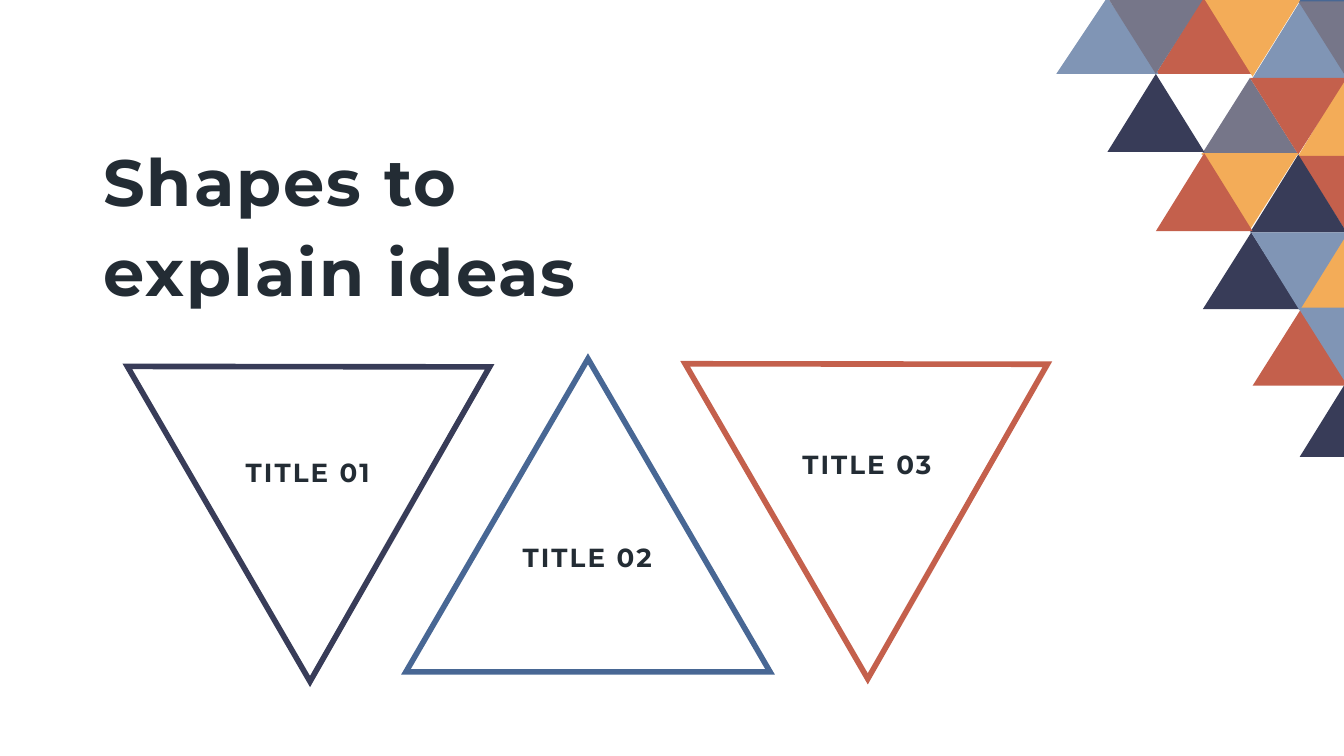
from lxml.etree import SubElement
from pptx import Presentation
from pptx.dml.color import RGBColor
from pptx.enum.shapes import MSO_SHAPE as Shape
from pptx.enum.text import MSO_AUTO_SIZE as AutoSize, PP_ALIGN as Align
from pptx.oxml.ns import qn
from pptx.util import Inches, Pt

INK, NAVY, BLUE, SKY = "232C34", "383C58", "486794", "8095B5"
GREY, RED, AMBER = "767689", "C4604C", "F3AC58"

# colour, apex x, apex y, base y, from back to front
MOSAIC = [
    (SKY, 9.68, 0, 0.58), (BLUE, 10.02, -0.55, 0.02),
    (GREY, 9.3, 0.58, 1.15), (RED, 9.68, 2.3, 2.87),
    (NAVY, 8.6, 0.55, 1.13), (AMBER, 10.02, 1.73, 2.3),
    (AMBER, 10.02, 0.56, 1.16), (RED, 8.96, -0.03, 0.55),
    (SKY, 8.24, -0.02, 0.55), (GREY, 10.02, 0.58, 0.01),
    (GREY, 8.6, 0.55, -0.02), (RED, 9.66, 1.15, 0.58),
    (AMBER, 9.32, 0.57, -0.01), (AMBER, 9.3, 1.71, 1.14),
    (RED, 10.02, 1.73, 1.16), (SKY, 10.02, 2.86, 2.29),
    (NAVY, 9.66, 1.15, 1.73), (NAVY, 10.03, 2.82, 3.4),
    (NAVY, 9.31, 1.73, 2.3), (SKY, 9.67, 2.31, 1.73),
    (RED, 8.96, 1.14, 1.72),
]
HALF_BASE, WIDE_HALF_BASE = 0.36, 0.38
WIDE_APEX = 8.24

# colour, left, top, rotation
IDEAS = [(NAVY, 1.28, 2.15, 59.9), (BLUE, 3.02, 2.67, 0), (RED, 5.43, 2.13, 59.9)]
LABELS = [("TITLE 01", 1.63, 3.35), ("TITLE 02", 3.71, 3.98), ("TITLE 03", 5.79, 3.29)]


def rgb(hex_code):
    return RGBColor.from_string(hex_code)


class Deck:
    font = {"name": "Montserrat", "bold": True}
    letter_spacing = "110"

    def __init__(self, width, height):
        self.prs = Presentation()
        self.prs.slide_width, self.prs.slide_height = Inches(width), Inches(height)
        self.shapes = self.prs.slides.add_slide(self.prs.slide_layouts[6]).shapes

    def text(self, lines, left, top, width, height, size, **paragraph_format):
        box = self.shapes.add_textbox(*map(Inches, (left, top, width, height)))
        frame = box.text_frame
        frame.word_wrap = True
        frame.auto_size = AutoSize.SHAPE_TO_FIT_TEXT
        for i, line in enumerate(lines):
            paragraph = frame.add_paragraph() if i else frame.paragraphs[0]
            for key, value in paragraph_format.items():
                setattr(paragraph, key, value)
            run = paragraph.add_run()
            run.text = line
            for key, value in {**self.font, "size": Pt(size)}.items():
                setattr(run.font, key, value)
            run.font.color.rgb = rgb(INK)
            run._r.get_or_add_rPr().set("spc", self.letter_spacing)

    def outline_triangle(self, colour, left, top, rotation):
        triangle = self.shapes.add_shape(
            Shape.ISOSCELES_TRIANGLE, *map(Inches, (left, top, 2.71, 2.33)))
        triangle.rotation = rotation
        triangle.shadow.inherit = False
        triangle.fill.background()
        triangle.line.color.rgb = rgb(colour)
        triangle.line.width = Pt(3)
        SubElement(triangle.line._get_or_add_ln(), qn("a:miter"), lim="800000")

    def tile(self, colour, x, apex, base):
        half = WIDE_HALF_BASE if x == WIDE_APEX else HALF_BASE
        builder = self.shapes.build_freeform(Inches(x), Inches(apex))
        builder.add_line_segments(
            [(Inches(x - half), Inches(base)), (Inches(x + half), Inches(base))])
        tile = builder.convert_to_shape()
        tile.shadow.inherit = False
        tile.fill.solid()
        tile.fill.fore_color.rgb = rgb(colour)
        tile.line.fill.background()
        return tile

    def mosaic(self, tiles):
        self.shapes.add_group_shape([self.tile(*tile) for tile in tiles])


def main():
    deck = Deck(10, 10 * 9 / 16)
    for title, left, top in LABELS:
        deck.text([title], left, top, 1.32, 0.34, 14, alignment=Align.CENTER)
    deck.text(["Shapes to", "explain ideas"], 0.67, 0.92, 4.06, 1.41, 35,
              line_spacing=Pt(48))
    first, *others = IDEAS
    deck.outline_triangle(*first)
    deck.mosaic(MOSAIC)
    for idea in others:
        deck.outline_triangle(*idea)
    deck.prs.save("out.pptx")


if __name__ == "__main__":
    main()
